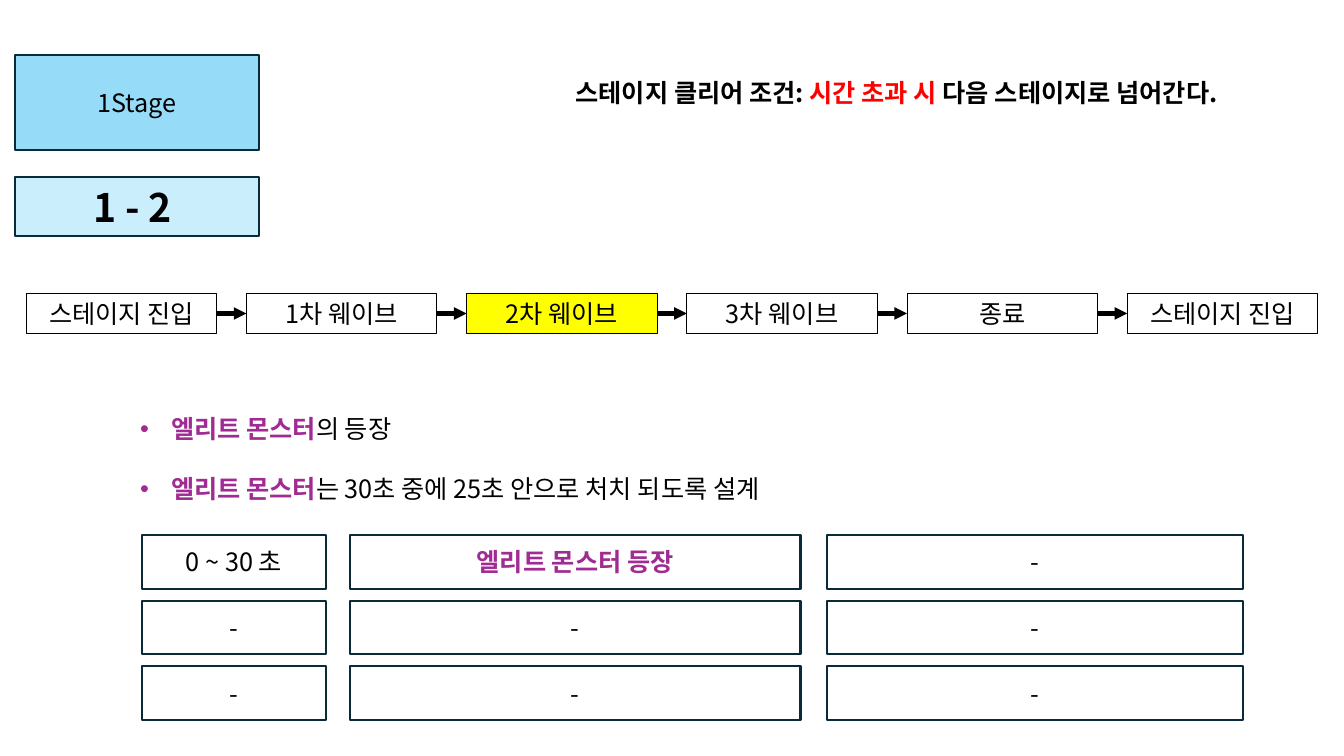
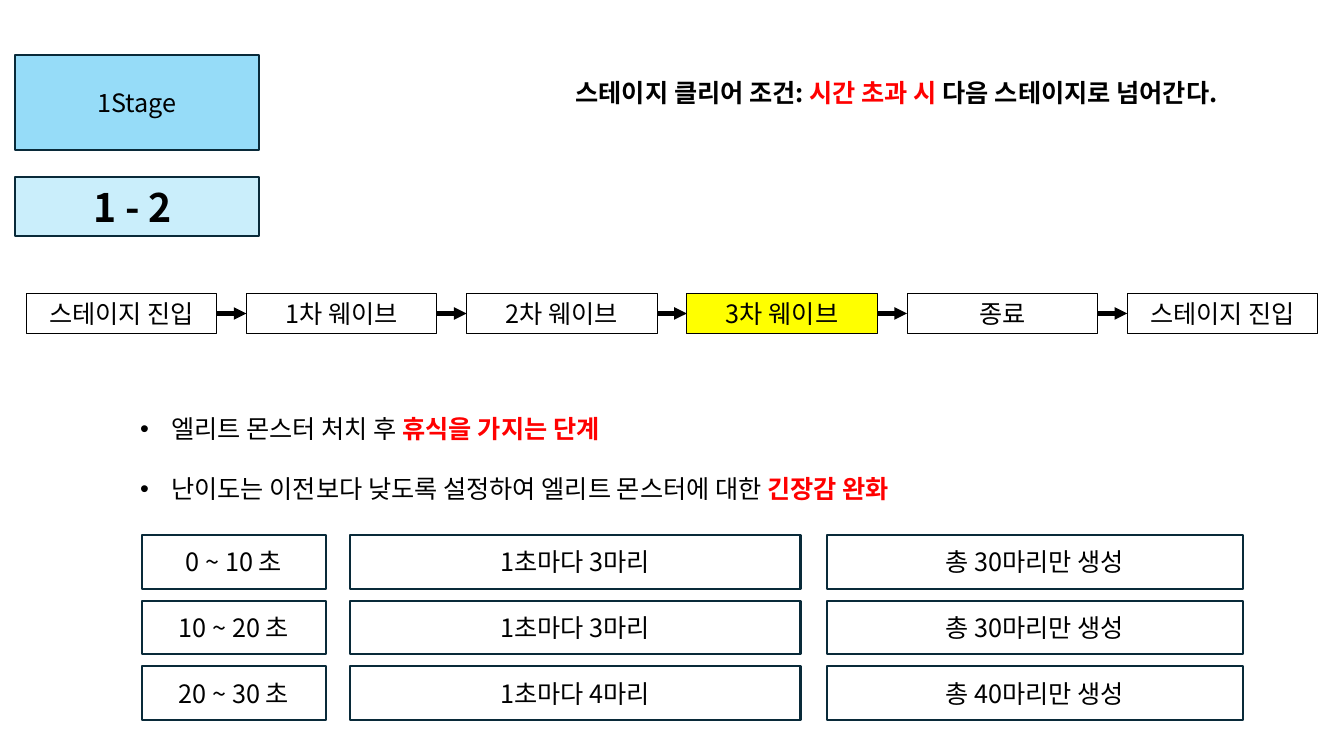
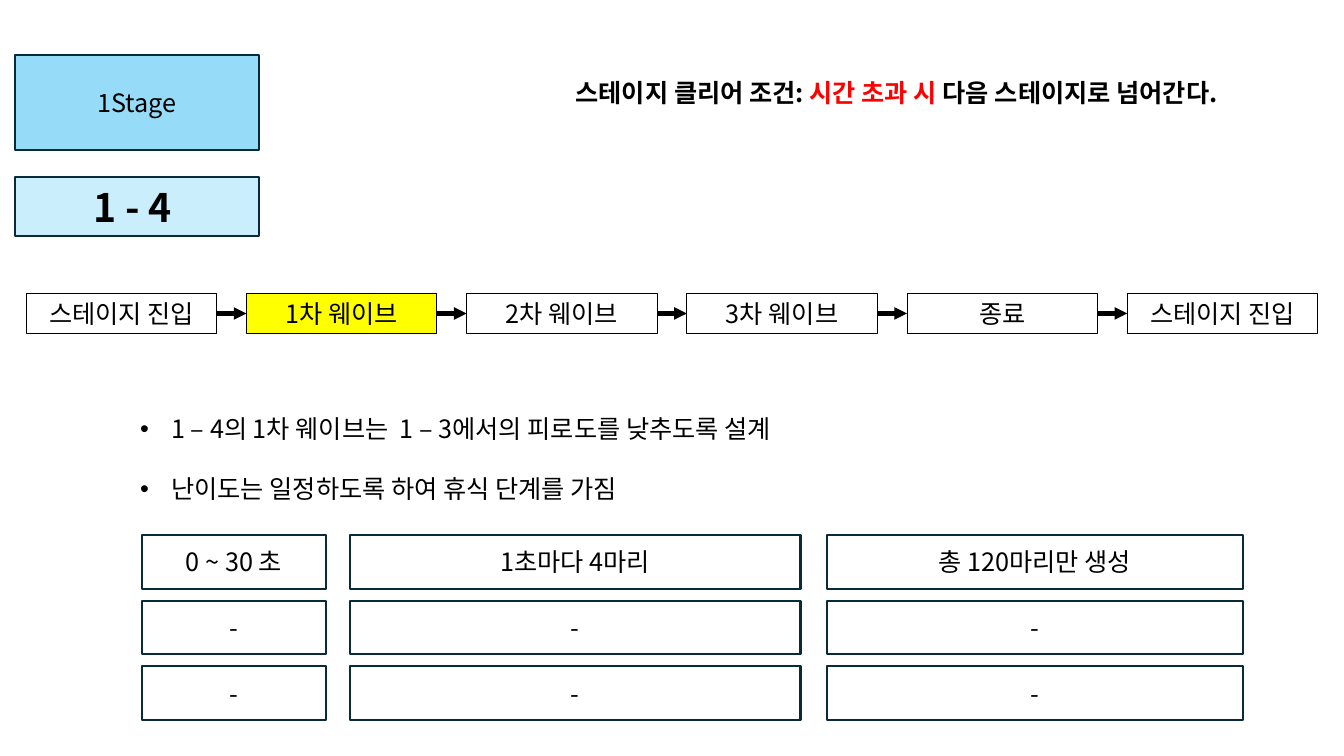
from dataclasses import dataclass

from pptx import Presentation
from pptx.dml.color import RGBColor
from pptx.enum import shapes, text
from pptx.oxml import parse_xml
from pptx.oxml.ns import nsdecls, qn
from pptx.util import Inches, Pt


@dataclass(frozen=True)
class Theme:
    font: str = "Noto Sans CJK KR"
    body_size: int = 18
    level_size: int = 28
    ink: str = "000000"
    alert: str = "FF0000"
    elite: str = "A02B93"
    border: str = "092A39"
    stage_fill: str = "96DCF8"
    level_fill: str = "CAEEFB"
    current_fill: str = "FFFF00"
    border_width: float = 1.5
    step_width: float = 0.75
    arrow_width: float = 3


THEME = Theme()
BOLD = {"bold": True}
ALERT = {"bold": True, "color": THEME.alert}
ELITE = {"bold": True, "color": THEME.elite}
GROW = {"auto_size": text.MSO_AUTO_SIZE.SHAPE_TO_FIT_TEXT,
        "vertical_anchor": text.MSO_ANCHOR.TOP}

STEPS = ["스테이지 진입", "1차 웨이브", "2차 웨이브", "3차 웨이브", "종료", "스테이지 진입"]
CONDITION = [("스테이지 클리어 조건: ", BOLD), ("시간 초과 시 ", ALERT),
             ("다음 스테이지로 넘어간다.", BOLD)]
GRID_COLUMNS = [(1.41, 1.82), (3.47, 4.47), (8.2, 4.13)]
EMPTY_ROW = ["-", "-", "-"]

PAGES = [
    {
        "level": "1 - 2 ",
        "current": 2,
        "points": [
            [("엘리트 몬스터", ELITE), "의 등장"],
            [("엘리트 몬스터", ELITE), "는 30초 중에 25초 안으로 처치 되도록 설계"],
        ],
        "rows": [["0 ~ 30 초", ("엘리트 몬스터 등장", ELITE), "-"], EMPTY_ROW, EMPTY_ROW],
    },
    {
        "level": "1 - 2 ",
        "current": 3,
        "points": [
            ["엘리트 몬스터 처치 후 ", ("휴식을 가지는 단계", ALERT)],
            ["난이도는 이전보다 낮도록 설정하여 엘리트 몬스터에 대한 ", ("긴장감 완화", ALERT)],
        ],
        "rows": [
            ["0 ~ 10 초", "1초마다 3마리", "총 30마리만 생성"],
            ["10 ~ 20 초", "1초마다 3마리", "총 30마리만 생성"],
            ["20 ~ 30 초", "1초마다 4마리", "총 40마리만 생성"],
        ],
    },
    {
        "level": "1 - 4 ",
        "current": 1,
        "points": [
            ["1 – 4의 1차 웨이브는  1 – 3에서의 피로도를 낮추도록 설계"],
            ["난이도는 일정하도록 하여 휴식 단계를 가짐"],
        ],
        "rows": [["0 ~ 30 초", "1초마다 4마리", "총 120마리만 생성"], EMPTY_ROW, EMPTY_ROW],
    },
]


def set_attributes(target, values):
    for name, value in values.items():
        setattr(target, name, value)


def write_spans(para, spans):
    """Add runs; each is plain text or a (text, format) pair."""
    for item in spans:
        words, style = (item, {}) if isinstance(item, str) else item
        values = {"name": THEME.font, "size": Pt(THEME.body_size), "bold": False, **style}
        color = values.pop("color", THEME.ink)
        span = para.add_run()
        span.text = words
        set_attributes(span.font, values)
        span.font.color.rgb = RGBColor.from_string(color)
        east_asian = parse_xml(f'<a:ea {nsdecls("a")} typeface="{THEME.font}"/>')
        span.font._element.find(qn("a:latin")).addnext(east_asian)


def add_box(page, place, span, fill=None, line=THEME.border,
            width=THEME.border_width, frame=None):
    box = page.shapes.add_shape(shapes.MSO_SHAPE.RECTANGLE, *map(Inches, place))
    box.shadow.inherit = False
    if fill:
        box.fill.solid()
        box.fill.fore_color.rgb = RGBColor.from_string(fill)
    else:
        box.fill.background()
    box.line.color.rgb = RGBColor.from_string(line)
    box.line.width = Pt(width)
    set_attributes(box.text_frame, {"word_wrap": True, **(frame or {})})
    para = box.text_frame.paragraphs[0]
    para.alignment = text.PP_ALIGN.CENTER
    write_spans(para, [span])
    return box


def add_text(page, place, paragraphs, bullets=False):
    frame = page.shapes.add_textbox(*map(Inches, place)).text_frame
    set_attributes(frame, {"word_wrap": True, **GROW})
    for index, spans in enumerate(paragraphs):
        para = frame.add_paragraph() if index else frame.paragraphs[0]
        write_spans(para, spans)
        if bullets:
            para.line_spacing = 2.0
            add_bullet(para)


def add_bullet(para):
    props = para._p.get_or_add_pPr()
    props.set("marL", str(Inches(0.31)))
    props.set("indent", str(Inches(-0.31)))
    for tag in ('buFont typeface="Arial"', 'buChar char="•"'):
        name, value = tag.split(" ")
        props.append(parse_xml(f'<a:{name} {nsdecls("a")} {value}/>'))


def add_arrow(page, start, end):
    """Join the right side of one box to the left side of the next."""
    arrow = page.shapes.add_connector(shapes.MSO_CONNECTOR.STRAIGHT, 0, 0, 0, 0)
    arrow.begin_connect(start, 3)
    arrow.end_connect(end, 1)
    arrow.line.color.rgb = RGBColor.from_string(THEME.ink)
    arrow.line.width = Pt(THEME.arrow_width)
    arrow.line._get_or_add_ln().append(
        parse_xml(f'<a:tailEnd {nsdecls("a")} type="triangle"/>'))
    arrow._element.spPr.append(parse_xml(f'<a:effectLst {nsdecls("a")}/>'))


def add_header(page, level):
    add_box(page, (0.15, 0.55, 2.42, 0.94), "1Stage", THEME.stage_fill)
    level_style = {"bold": True, "size": Pt(THEME.level_size)}
    add_box(page, (0.15, 1.76, 2.42, 0.58), (level, level_style), THEME.level_fill)
    add_text(page, (5.61, 0.72, 7.39, 0.4), [CONDITION])


def add_flow(page, current):
    left, right, width = 0.26, 13.07, 1.89
    pitch = (right - left - width) / (len(STEPS) - 1)
    previous = None
    for index, step in enumerate(STEPS):
        fill = THEME.current_fill if index == current else None
        box = add_box(page, (left + index * pitch, 2.91, width, 0.4), step, fill,
                      THEME.ink, THEME.step_width, GROW)
        if previous is not None:
            add_arrow(page, previous, box)
        previous = box


def add_grid(page, rows):
    top, pitch, height = 5.31, 0.65, 0.53
    for index, row in enumerate(rows):
        for (left, width), span in zip(GRID_COLUMNS, row):
            add_box(page, (left, top + index * pitch, width, height), span)


def main():
    deck = Presentation()
    set_attributes(deck, {"slide_width": Inches(13.33), "slide_height": Inches(7.5)})
    for content in PAGES:
        page = deck.slides.add_slide(deck.slide_layouts[6])
        add_header(page, content["level"])
        add_flow(page, content["current"])
        add_text(page, (1.29, 3.75, 10.92, 1.22), content["points"], bullets=True)
        add_grid(page, content["rows"])
    deck.save("out.pptx")


if __name__ == "__main__":
    main()
